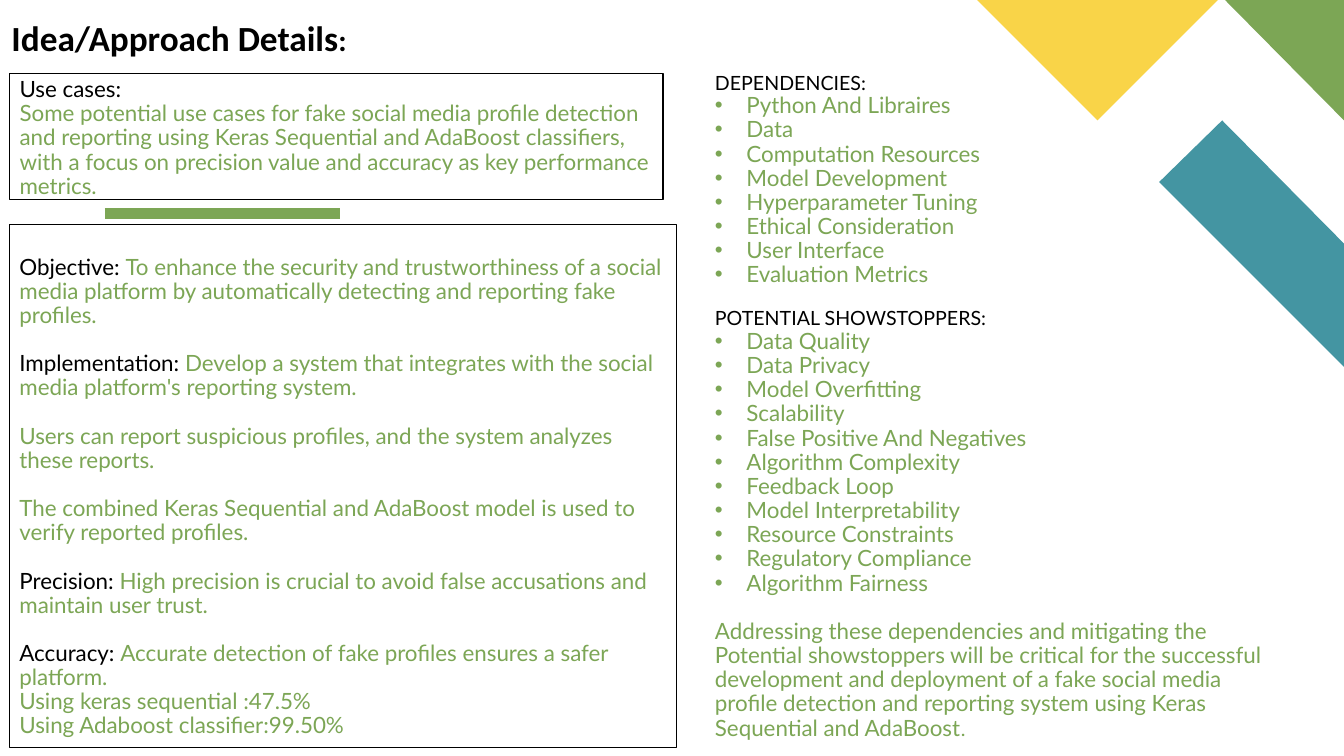
from lxml.etree import SubElement
from pptx import Presentation
from pptx.dml.color import RGBColor
from pptx.enum.shapes import MSO_CONNECTOR as Conn, MSO_SHAPE as Shape
from pptx.enum.text import MSO_ANCHOR as Anchor, MSO_AUTO_SIZE as Fit, PP_ALIGN as Align
from pptx.oxml.ns import qn
from pptx.util import Pt

BLACK = RGBColor(0x00, 0x00, 0x00)
GREEN = RGBColor(0x7C, 0xA6, 0x55)
TEAL = RGBColor(0x44, 0x95, 0xA2)
YELLOW = RGBColor(0xF9, 0xD4, 0x48)


class Page:
    """Holds the text style and the current slide."""
    face, size, lead = "Lato", 16, 0.9

    def __init__(self, slide):
        self.slide = slide
        self.shapes = slide.shapes

    def patch(self, color, first, *rest):
        form = self.shapes.build_freeform(*first, scale=Pt(1))
        form.add_line_segments(rest, close=True)
        shape = form.convert_to_shape()
        shape.shadow.inherit = False
        shape.fill.solid()
        shape.fill.fore_color.rgb = color
        shape.line.fill.background()

    def rule(self, x1, y1, x2, y2, color, width):
        line = self.shapes.add_connector(Conn.STRAIGHT, Pt(x1), Pt(y1), Pt(x2), Pt(y2))
        line.line.color.rgb = color
        line.line.width = Pt(width)
        SubElement(line._element.spPr, qn("a:effectLst"))

    def hold(self, index, *place):
        shape = self.slide.placeholders[index]
        shape.left, shape.top, shape.width, shape.height = map(Pt, place)
        return self.frame(shape)

    def panel(self, *place):
        shape = self.shapes.add_shape(Shape.RECTANGLE, *map(Pt, place))
        shape.shadow.inherit = False
        return self.frame(shape)

    def frame(self, shape):
        text = shape.text_frame
        text.word_wrap = True
        text.auto_size = Fit.NONE
        text.vertical_anchor = Anchor.TOP
        text.margin_left = text.margin_right = Pt(7.2)
        text.margin_top = text.margin_bottom = Pt(3.6)
        return shape

    def border(self, shape):
        shape.fill.background()
        shape.line.color.rgb = BLACK
        shape.line.width = Pt(0.75)

    def para(self, shape, *parts, size=None, gap=0, hang=0, dot=False):
        """Add a paragraph; each part is a (text, color) pair."""
        text = shape.text_frame
        para = text.paragraphs[0]
        if para.runs:
            para = text.add_paragraph()
        para.alignment = Align.LEFT
        para.line_spacing = self.lead
        para.space_before, para.space_after = Pt(gap), Pt(0)
        props = para._p.get_or_add_pPr()
        props.set("marL", str(Pt(hang)))
        props.set("indent", str(Pt(-hang)))
        if dot:
            tint = SubElement(props, qn("a:buClr"))
            SubElement(tint, qn("a:srgbClr"), val=str(GREEN))
            SubElement(props, qn("a:buFont"), typeface="Arial")
            SubElement(props, qn("a:buChar"), char="•")
        else:
            SubElement(props, qn("a:buNone"))
        para.font.name = self.face
        para.font.size = Pt(size or self.size)
        para.font.bold = False
        for words, color in parts:
            run = para.add_run()
            run.text = words
            if len(parts) > 1:
                run.font.color.rgb = color
        if len(parts) == 1:
            para.font.color.rgb = parts[0][1]
        return para


NEEDS = ["Python And Libraires", "Data", "Computation Resources", "Model Development",
         "Hyperparameter Tuning", "Ethical Consideration", "User Interface",
         "Evaluation Metrics"]
RISKS = ["Data Quality", "Data Privacy", "Model Overfitting", "Scalability",
         "False Positive And Negatives", "Algorithm Complexity", "Feedback Loop",
         "Model Interpretability", "Resource Constraints", "Regulatory Compliance",
         "Algorithm Fairness"]
CLOSE = ("Addressing these dependencies and mitigating the Potential showstoppers will be "
         "critical for the successful development and deployment of a fake social media "
         "profile detection and reporting system using Keras Sequential and AdaBoost")
# Label, text, gap before
GOALS = [
    ("Objective: ", "To enhance the security and trustworthiness of a social media platform "
     "by automatically detecting and reporting fake profiles.", 0),
    ("Implementation:", " Develop a system that integrates with the social media platform's "
     "reporting system.", 17.2),
    ("", "Users can report suspicious profiles, and the system analyzes these reports.", 17.2),
    ("", "The combined Keras Sequential and AdaBoost model is used to verify reported "
     "profiles.", 17.2),
    ("Precision: ", "High precision is crucial to avoid false accusations and maintain "
     "user trust.", 17.2),
    ("Accuracy: ", "Accurate detection of fake profiles ensures a safer platform.", 17.2),
    ("", "Using keras sequential :47.5%", 0),
    ("", "Using Adaboost classifier:99.50%", 0),
]


def main():
    deck = Presentation()
    deck.slide_width, deck.slide_height = Pt(960), Pt(540)
    page = Page(deck.slides.add_slide(deck.slide_layouts[3]))

    # Corner shapes and accent rule
    page.patch(TEAL, (960, 261.5), (960, 173.5), (872.6, 85.7), (828.5, 129.6))
    page.patch(GREEN, (875, 0), (960, 0), (960, 85.7))
    page.patch(YELLOW, (698.4, 0), (784.4, 85.7), (870.5, 0))
    page.rule(75, 152.6, 243, 152.6, GREEN, 8)

    # Title
    title = page.hold(0, 8.2, 2, 449, 40.5)
    text = title.text_frame
    text.vertical_anchor = Anchor.BOTTOM
    text.margin_left = text.margin_right = text.margin_top = text.margin_bottom = 0
    head = page.para(title, ("Idea/Approach Details", BLACK), (":", BLACK), size=25.2)
    head.font.name = "Calibri"
    head.font.bold = True
    head.runs[1].font.size = Pt(21.6)

    # Use cases
    uses = page.hold(1, 6.8, 52.3, 466.8, 90)
    page.border(uses)
    page.para(uses, ("Use cases:", BLACK))
    page.para(uses, ("Some potential use cases for fake social media profile detection and "
                     "reporting using Keras Sequential and AdaBoost classifiers, with a focus "
                     "on precision value and accuracy as key performance metrics.", GREEN))

    # Dependencies and showstoppers
    side = page.hold(2, 503.5, 48.7, 410, 479)
    for label, items, gap in (("DEPENDENCIES:", NEEDS, 0),
                              ("POTENTIAL SHOWSTOPPERS:", RISKS, 15.1)):
        page.para(side, (label, BLACK), size=14, gap=gap, hang=18)
        for item in items:
            page.para(side, (item, GREEN), hang=22.5, dot=True)
    close = page.para(side, (CLOSE, GREEN), (".", GREEN), gap=17.2)
    close.runs[1].font.name = "Roboto"

    # Goals and results
    goals = page.panel(6.8, 160.2, 476.8, 374)
    page.border(goals)
    goals.text_frame.margin_top = Pt(22.6)
    for label, words, gap in GOALS:
        parts = [(label, BLACK)] if label else []
        page.para(goals, *parts, (words, GREEN), gap=gap)

    deck.save("out.pptx")


if __name__ == "__main__":
    main()
